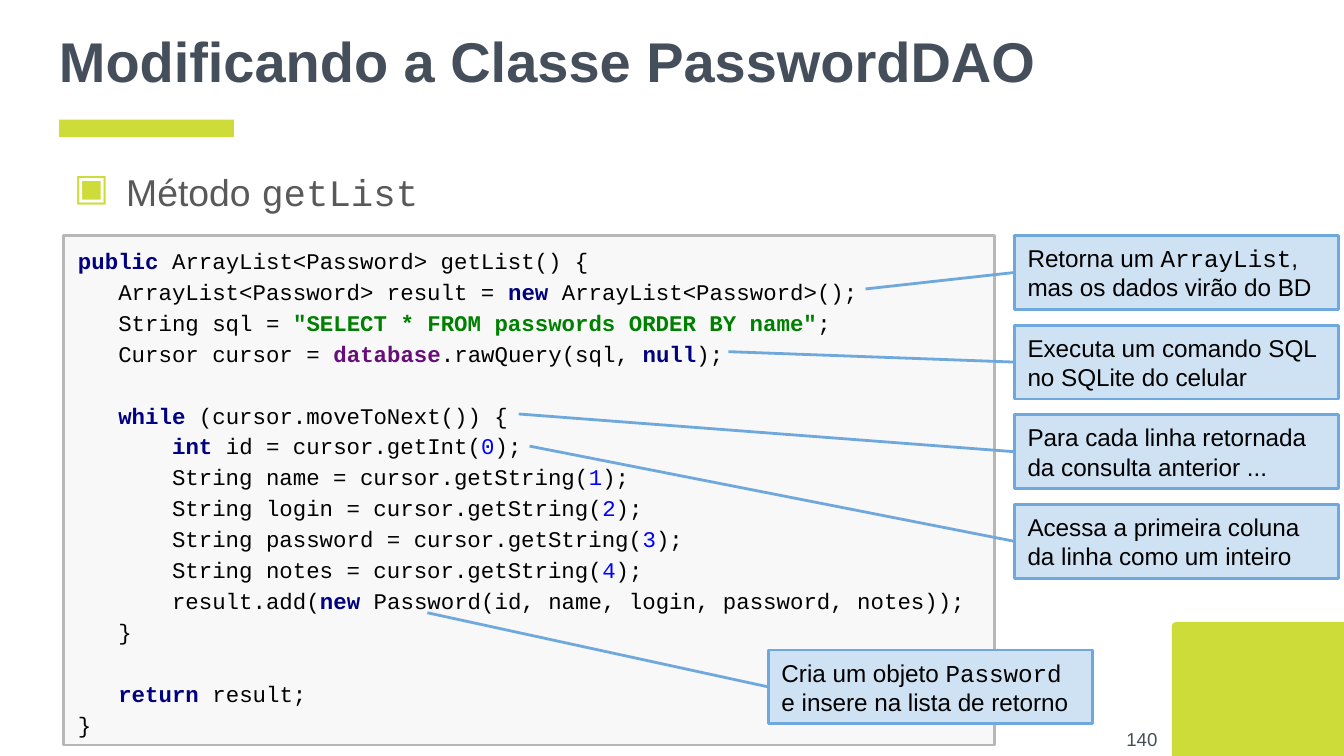
from functools import partial

from lxml import etree
from pptx import Presentation
from pptx.dml.color import RGBColor
from pptx.enum import shapes, text
from pptx.oxml import ns
from pptx.util import Pt

LIME = RGBColor(0xCD, 0xDC, 0x39)
SLATE = RGBColor(0x45, 0x4F, 0x5B)
GRAY = RGBColor(0x59, 0x59, 0x59)
BLACK = RGBColor(0, 0, 0)
CODE_FILL = RGBColor(0xF8, 0xF8, 0xF8)
CODE_LINE = RGBColor(0xB7, 0xB7, 0xB7)
NOTE_FILL = RGBColor(0xCF, 0xE2, 0xF3)
NOTE_LINE = RGBColor(0x6F, 0xA8, 0xDC)
NAVY = RGBColor(0, 0, 0x80)
GREEN = RGBColor(0, 0x80, 0)
PURPLE = RGBColor(0x66, 0x0E, 0x7A)
BLUE = RGBColor(0, 0, 0xFF)

SANS = "Arial"
MONO = "Courier New"


def styled(content, **style):
    return content, style


keyword = partial(styled, color=NAVY, bold=True)
literal = partial(styled, color=GREEN, bold=True)
field = partial(styled, color=PURPLE, bold=True)
number = partial(styled, color=BLUE)
mono = partial(styled, name=MONO)


def column_read(variable, index):
    return [f"       String {variable} = cursor.getString(", number(str(index)), ");"]


CODE = [
    [keyword("public "), "ArrayList<Password> getList() {"],
    ["   ArrayList<Password> result = ", keyword("new "), "ArrayList<Password>();"],
    ["   String sql = ", literal('"SELECT * FROM passwords ORDER BY name"'), ";"],
    ["   Cursor cursor = ", field("database"), ".rawQuery(sql, ", keyword("null"), ");"],
    [],
    ["   ", keyword("while "), "(cursor.moveToNext()) {"],
    ["       ", keyword("int "), "id = cursor.getInt(", number("0"), ");"],
    *[column_read(variable, index)
      for index, variable in enumerate(("name", "login", "password", "notes"), 1)],
    ["       result.add(", keyword("new "), "Password(id, name, login, password, notes));"],
    ["   }"],
    [],
    ["   ", keyword("return "), "result;"],
    ["}"],
]

SIDE_NOTES = [
    (["Retorna um ", mono("ArrayList"), ", mas os dados virão do BD"], (463.7, 154.8)),
    (["Executa um comando SQL no SQLite do celular"], (390.2, 188.4)),
    (["Para cada linha retornada da consulta anterior ..."], (277.9, 221.8)),
    (["Acessa a primeira coluna da linha como um inteiro"], (283.7, 239)),
]
INSERT_NOTE = ["Cria um objeto ", mono("Password"), " e insere na lista de retorno"]


def write_text(shape, lines, size, color, name=SANS, bold=False, spacing=1.0,
               align=text.PP_ALIGN.LEFT, anchor=text.MSO_ANCHOR.MIDDLE, insets=(7.2, 7.2)):
    frame = shape.text_frame
    frame.word_wrap = True
    frame.vertical_anchor = anchor
    frame.margin_left = frame.margin_right = Pt(insets[0])
    frame.margin_top = frame.margin_bottom = Pt(insets[1])
    for index, line in enumerate(lines):
        paragraph = frame.add_paragraph() if index else frame.paragraphs[0]
        paragraph.alignment = align
        paragraph.line_spacing = spacing
        for part in line:
            content, style = (part, {}) if isinstance(part, str) else part
            run = paragraph.add_run()
            run.text = content
            run.font.size = Pt(size)
            run.font.name = style.get("name", name)
            run.font.bold = style.get("bold", bold)
            run.font.color.rgb = style.get("color", color)
        if not line:
            ending = etree.SubElement(paragraph._p, ns.qn("a:endParaRPr"), sz=str(size * 100))
            etree.SubElement(ending, ns.qn("a:latin"), typeface=name)
    return frame


def add_text(slide, box, lines, **style):
    return write_text(slide.shapes.add_textbox(*map(Pt, box)), lines, **style)


def add_block(slide, box, fill, line=None, width=1.5, kind=shapes.MSO_SHAPE.RECTANGLE):
    shape = slide.shapes.add_shape(kind, *map(Pt, box))
    shape.shadow.inherit = False
    shape.fill.solid()
    shape.fill.fore_color.rgb = fill
    if line is None:
        shape.line.fill.background()
    else:
        shape.line.color.rgb = line
        shape.line.width = Pt(width)
    return shape


def add_corner(slide, box):
    left, top, width, height = box
    inset = (width - height) / 2
    corner = add_block(slide, (left + inset, top - inset, height, width), LIME,
                       kind=shapes.MSO_SHAPE.ROUND_1_RECTANGLE)
    corner.adjustments[0] = 0.034
    corner.rotation = 270


def add_header(slide, box):
    left, top, width, height = box
    add_block(slide, (left + 7.2, top + height, 93.6, 9.4), LIME)
    add_text(slide, box, [["Modificando a Classe PasswordDAO"]],
             size=30, color=SLATE, bold=True)


def add_topic(slide, box):
    frame = add_text(slide, box, [["Método ", mono("getList")]], size=20, color=GRAY,
                     spacing=1.15, anchor=text.MSO_ANCHOR.TOP)
    properties = frame.paragraphs[0]._p.get_or_add_pPr()
    properties.set("marL", str(Pt(36)))
    properties.set("indent", str(Pt(-28)))
    bullet_color = etree.SubElement(properties, ns.qn("a:buClr"))
    etree.SubElement(bullet_color, ns.qn("a:srgbClr"), val=str(LIME))
    etree.SubElement(properties, ns.qn("a:buChar"), char="▣")


def add_code(slide, box):
    panel = add_block(slide, box, CODE_FILL, CODE_LINE, 1.44)
    write_text(panel, CODE, size=12, color=BLACK, name=MONO, spacing=1.15, insets=(7.9, 4.3))


def add_note(slide, box, line, target):
    left, top, width, height = box
    note = add_block(slide, box, NOTE_FILL, NOTE_LINE)
    write_text(note, [line], size=13, color=BLACK)
    connector = slide.shapes.add_connector(
        shapes.MSO_CONNECTOR.STRAIGHT,
        *map(Pt, (left, top + height / 2, *target)))
    connector.line.color.rgb = NOTE_LINE
    connector.line.width = Pt(1.5)
    etree.SubElement(connector._element.spPr, ns.qn("a:effectLst"))


def add_side_notes(slide, box):
    left, top, width, height = box
    note_height = 39.6
    step = (height - note_height) / (len(SIDE_NOTES) - 1)
    for index, (line, target) in enumerate(SIDE_NOTES):
        add_note(slide, (left, top + index * step, width, note_height), line, target)


def main():
    presentation = Presentation()
    presentation.slide_width = Pt(720)
    presentation.slide_height = Pt(405)
    slide = presentation.slides.add_slide(presentation.slide_layouts[6])
    add_corner(slide, (627.8, 333.2, 93.6, 72.7))
    add_header(slide, (24.5, 0, 671, 64.1))
    add_topic(slide, (24.5, 79.9, 671, 37.4))
    add_text(slide, (583.9, 380.2, 43.2, 31), [["140"]], size=10, color=SLATE,
             align=text.PP_ALIGN.RIGHT)
    add_code(slide, (33.9, 126.2, 499, 273))
    add_side_notes(slide, (543.4, 126.2, 173.7, 183.6))
    add_note(slide, (411.6, 348.2, 173.7, 39.6), INSERT_NOTE, (229, 328.3))
    presentation.save("out.pptx")


if __name__ == "__main__":
    main()
